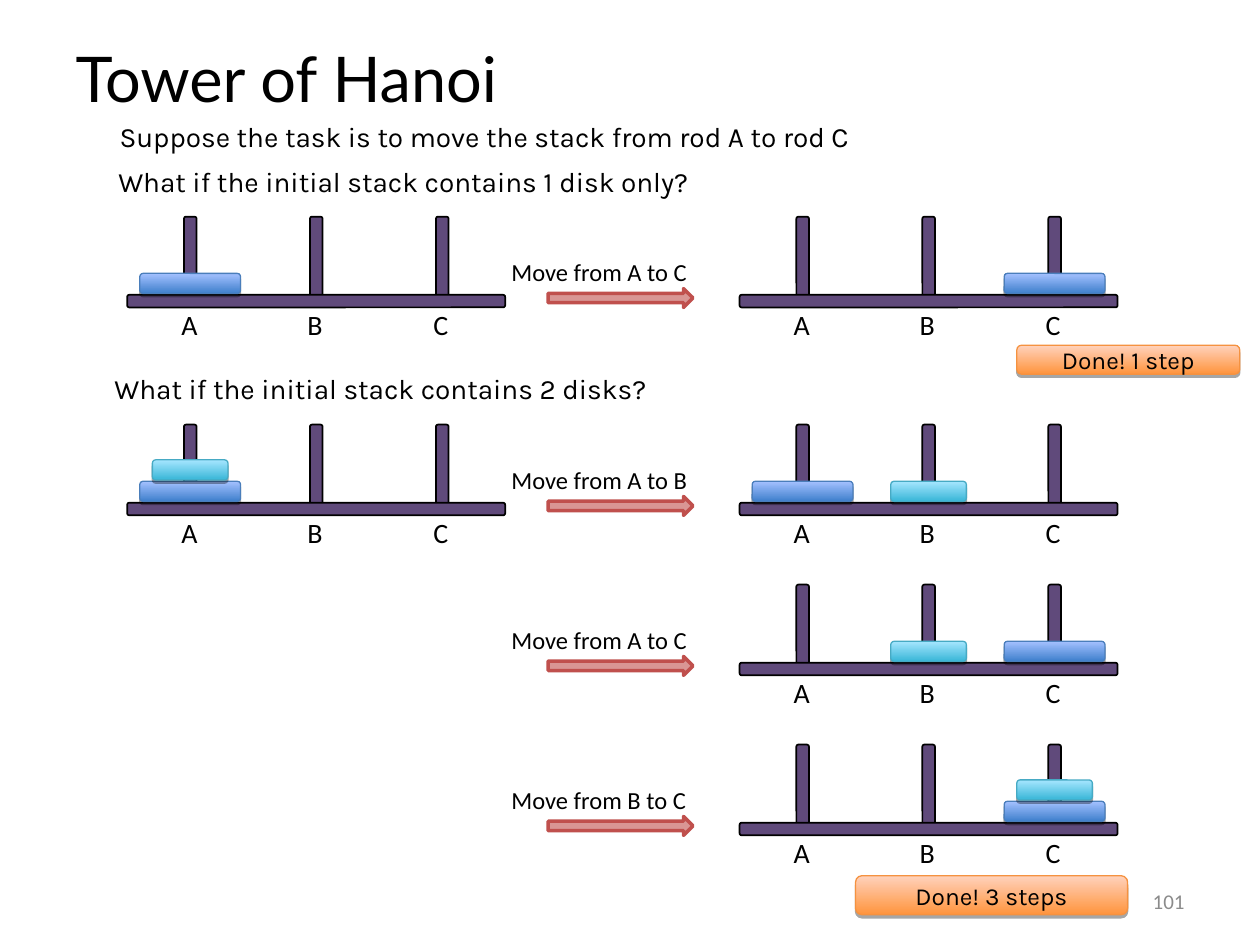
import pptx
import pptx.util
import pptx.dml.color
import pptx.enum.shapes
import pptx.enum.text
import pptx.oxml
import pptx.oxml.ns

PX = 9144  # EMU; 100 px to the inch
SHAPE = pptx.enum.shapes.MSO_SHAPE
ALIGN = pptx.enum.text.PP_ALIGN
MIDDLE = pptx.enum.text.MSO_ANCHOR.MIDDLE

TITLE = "Tower of Hanoi"
PAGE_NUMBER = "101"
STATEMENTS = [  # text, left, top, width
    ("What if the initial stack contains 1 disk only?", 84, 126, 515),
    ("What if the initial stack contains 2 disks?", 81, 290, 473),
    ("Suppose the task is to move the stack from rod A to rod C", 85, 90, 662),
]
DONE = [  # text, left, top, width, height
    ("Done! 1 step", 807, 274, 177, 23),
    ("Done! 3 steps", 679, 695, 216, 31),
]
RODS = "ABC"
LEFT, RIGHT = 101, 587
# base left, base top, disks on each rod from the bottom up, move that led here
STATES = [
    (LEFT, 234, {"A": ["large"]}, None),
    (RIGHT, 234, {"C": ["large"]}, "Move from A to C"),
    (LEFT, 399, {"A": ["large", "small"]}, None),
    (RIGHT, 399, {"A": ["large"], "B": ["small"]}, "Move from A to B"),
    (RIGHT, 526, {"B": ["small"], "C": ["large"]}, "Move from A to C"),
    (RIGHT, 653, {"C": ["large", "small"]}, "Move from B to C"),
]
WOOD = {"fill": "604A7B", "line": "000000", "weight": 1}
ARROW = {"fill": "D99694", "line": "C0504D", "weight": 2}
BUTTON = {"fill": ("FF943D", "FFD2BC"), "line": "F59240", "weight": 0.75}
DISKS = {  # width, look
    "large": (80, {"fill": ("3E7FCC", "A4C1FF"), "line": "4A7EBB", "weight": 0.75}),
    "small": (60, {"fill": ("38B6D7", "A6E6FF"), "line": "46AAC4", "weight": 0.75}),
}
DISK_HEIGHT, DISK_STEP = 16, 17
ROD_LENGTH, THICKNESS, ROD_GAP = 70, 10, 100


def color(value):
    return pptx.dml.color.RGBColor.from_string(value)


def scaled(*lengths):
    return [length * PX for length in lengths]


def write(holder, text, size, font, shade="000000", align=ALIGN.LEFT, anchor=None):
    frame = holder.text_frame
    frame.word_wrap = True
    if anchor is not None:
        frame.vertical_anchor = anchor
    para = frame.paragraphs[0]
    para.alignment = align
    span = para.add_run()
    span.text = text
    formats = {"size": pptx.util.Pt(size), "name": font, "bold": False}
    for name, value in formats.items():
        setattr(span.font, name, value)
    span.font.color.rgb = color(shade)


def add_text(shapes, text, place, size, font="Calibri", **options):
    box = shapes.add_textbox(*scaled(*place))
    write(box, text, size, font, **options)
    return box


def add_drop_shadow(shape):
    effects = shape._element.spPr.find(pptx.oxml.ns.qn("a:effectLst"))
    effects.append(pptx.oxml.parse_xml(
        '<a:outerShdw %s blurRad="0" dist="22860" dir="5400000" rotWithShape="0">'
        '<a:srgbClr val="000000"><a:alpha val="35000"/></a:srgbClr></a:outerShdw>'
        % pptx.oxml.ns.nsdecls("a")))


def add_block(shapes, place, look, kind=SHAPE.ROUNDED_RECTANGLE):
    """Add a filled shape; a pair of fill colours runs from bottom to top."""
    shape = shapes.add_shape(kind, *scaled(*place))
    shape.line.color.rgb = color(look["line"])
    shape.line.width = pptx.util.Pt(look["weight"])
    shape.shadow.inherit = False
    if isinstance(look["fill"], tuple):
        shape.fill.gradient()
        shape.fill.gradient_angle = 90
        for stop, position, value in zip(shape.fill.gradient_stops, (0, 1), look["fill"]):
            stop.position = position
            stop.color.rgb = color(value)
        add_drop_shadow(shape)
    else:
        shape.fill.solid()
        shape.fill.fore_color.rgb = color(look["fill"])
    return shape


def add_state(page, left, top, stacks, move):
    shapes = page.shapes.add_group_shape().shapes
    if move:
        add_block(shapes, (435, top - 5, 115, 15), ARROW, SHAPE.RIGHT_ARROW)
        add_text(shapes, move, (396, top - 35, 189, 33), 14)
    centers = {rod: left + 50 + ROD_GAP * i for i, rod in enumerate(RODS)}
    for rod, center in centers.items():
        place = (center - ROD_LENGTH // 2, top - 32, ROD_LENGTH, THICKNESS)
        add_block(shapes, place, WOOD).rotation = 90
        add_text(shapes, rod, (center - 17, top + 5, 35, 36), 16)
    add_block(shapes, (left, top, 300, THICKNESS), WOOD)
    for rod, stack in stacks.items():
        for level, disk in enumerate(stack, 1):
            width, look = DISKS[disk]
            place = (centers[rod] - width // 2, top - DISK_STEP * level, width, DISK_HEIGHT)
            add_block(shapes, place, look)


def main():
    deck = pptx.Presentation()
    deck.slide_width, deck.slide_height = scaled(1000, 750)
    page = deck.slides.add_slide(deck.slide_layouts[5])

    title = page.shapes.title
    sides = ("left", "top", "width", "height")
    for side, value in zip(sides, scaled(50, 30, 900, 63)):
        setattr(title, side, value)
    write(title, TITLE, 36, "Lato", anchor=MIDDLE)

    for text, left, top, width in STATEMENTS:
        box = add_text(page.shapes, text, (left, top, width, 36), 16, "Karla")
        box.fill.solid()
        box.fill.fore_color.rgb = color("FFFFFF")
    for state in STATES:
        add_state(page, *state)
    for text, *place in DONE:
        button = add_block(page.shapes, place, BUTTON)
        write(button, text, 14, "Karla", align=ALIGN.CENTER, anchor=MIDDLE)
    add_text(page.shapes, PAGE_NUMBER, (717, 695, 233, 40), 12,
             shade="8B8B8B", align=ALIGN.RIGHT, anchor=MIDDLE)
    deck.save("out.pptx")


if __name__ == "__main__":
    main()
